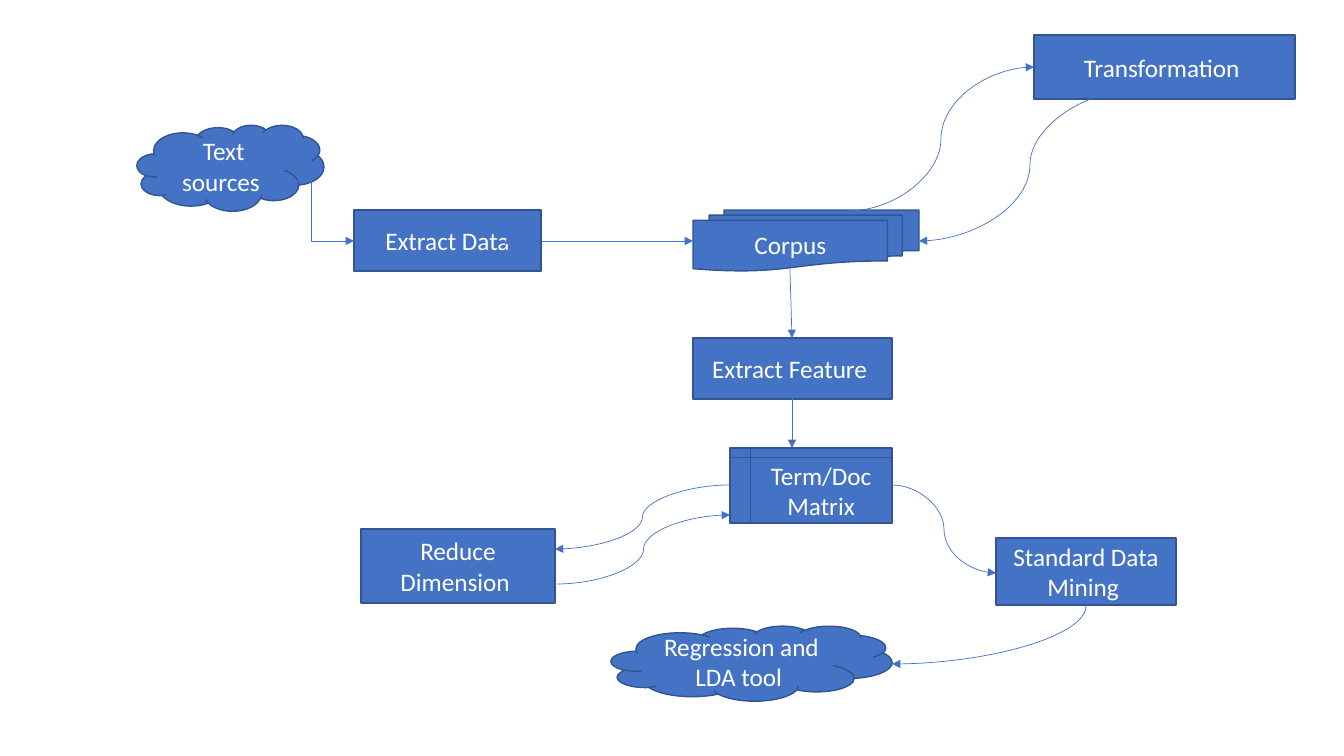
from lxml import etree
from pptx import Presentation
from pptx.dml.color import RGBColor
from pptx.enum.shapes import MSO_CONNECTOR, MSO_SHAPE
from pptx.enum.text import MSO_ANCHOR, PP_ALIGN
from pptx.oxml.ns import qn
from pptx.util import Emu, Pt

RECTANGLE = MSO_SHAPE.RECTANGLE
CLOUD = MSO_SHAPE.CLOUD
DOCUMENTS = MSO_SHAPE.FLOWCHART_MULTIDOCUMENT
STORAGE = MSO_SHAPE.FLOWCHART_INTERNAL_STORAGE
STRAIGHT = MSO_CONNECTOR.STRAIGHT
ELBOW = MSO_CONNECTOR.ELBOW
CURVE = MSO_CONNECTOR.CURVE

BLUE = RGBColor(0x44, 0x72, 0xC4)
DARK_BLUE = RGBColor(0x32, 0x54, 0x91)
WHITE = RGBColor(0xFF, 0xFF, 0xFF)

SLIDE_WIDTH, SLIDE_HEIGHT = 1344, 756
EMU_PER_PIXEL = 12192000 / SLIDE_WIDTH
BLANK_LAYOUT = 6
QUARTER_TURN = 90 * 60000

FRAME_FORMAT = {"word_wrap": True, "vertical_anchor": MSO_ANCHOR.MIDDLE}
FONT_FORMAT = {"name": "Calibri", "size": Pt(18)}

STEPS = [
    (RECTANGLE, "Extract Data", (354, 210, 187, 61)),
    (CLOUD, "Text sources ", (137, 125, 187, 86)),
    (RECTANGLE, "Extract Feature ", (693, 338, 199, 61)),
    (DOCUMENTS, "Corpus", (693, 210, 226, 61)),
    (STORAGE, "Term/Doc Matrix", (730, 448, 162, 75)),
    (RECTANGLE, "Reduce Dimension ", (361, 529, 194, 74)),
    (RECTANGLE, "Standard Data Mining ", (996, 538, 180, 67)),
    (CLOUD, "Regression and LDA tool ", (611, 626, 281, 75)),
    (RECTANGLE, "Transformation ", (1034, 35, 261, 64)),
]

ARROWS = [
    (ELBOW, (269, 181), (354, 241)),
    (ELBOW, (507, 241), (514, 243)),
    (CURVE, (848, 211), (1034, 67)),
    (CURVE, (1141, 89), (919, 241)),
    (STRAIGHT, (790, 269), (792, 338)),
    (STRAIGHT, (792, 378), (792, 448)),
    (CURVE, (892, 485), (996, 573)),
    (STRAIGHT, (541, 241), (693, 241)),
    (CURVE, (730, 485), (555, 549)),
    (CURVE, (557, 584), (730, 515)),
]

MINING_BOTTOM = (1086, 606)
TOOL_RIGHT = (892, 664)


def pixels(*lengths):
    return [Emu(round(length * EMU_PER_PIXEL)) for length in lengths]


def set_attributes(target, values):
    for name, value in values.items():
        setattr(target, name, value)


def set_line(line, color, width):
    line.color.rgb = color
    line.width = Pt(width)


def add_step(slide, kind, text, box):
    shape = slide.shapes.add_shape(kind, *pixels(*box))
    shape.shadow.inherit = False
    shape.fill.solid()
    shape.fill.fore_color.rgb = BLUE
    set_line(shape.line, DARK_BLUE, 1)
    set_attributes(shape.text_frame, FRAME_FORMAT)
    paragraph = shape.text_frame.paragraphs[0]
    paragraph.alignment = PP_ALIGN.CENTER
    run = paragraph.add_run()
    run.text = text
    set_attributes(run.font, FONT_FORMAT)
    run.font.color.rgb = WHITE


def add_arrow(slide, kind, start, end):
    connector = slide.shapes.add_connector(kind, *pixels(*start, *end))
    set_line(connector.line, BLUE, 0.5)
    properties = connector.element.spPr
    outline = properties.find(qn("a:ln"))
    etree.SubElement(outline, qn("a:tailEnd"), type="triangle")
    etree.SubElement(properties, qn("a:effectLst"))
    return connector


def add_quarter_arrow(slide, start, end):
    center_x = (start[0] + end[0]) // 2
    center_y = (start[1] + end[1]) // 2
    half_width = (end[1] - start[1]) // 2
    half_height = (start[0] - end[0]) // 2
    connector = add_arrow(
        slide,
        CURVE,
        (center_x - half_width, center_y - half_height),
        (center_x + half_width, center_y + half_height),
    )
    properties = connector.element.spPr
    properties.find(qn("a:xfrm")).set("rot", str(QUARTER_TURN))
    properties.find(qn("a:prstGeom")).set("prst", "curvedConnector2")


def main():
    presentation = Presentation()
    width, height = pixels(SLIDE_WIDTH, SLIDE_HEIGHT)
    set_attributes(presentation, {"slide_width": width, "slide_height": height})
    slide = presentation.slides.add_slide(presentation.slide_layouts[BLANK_LAYOUT])
    for step in STEPS:
        add_step(slide, *step)
    for arrow in ARROWS:
        add_arrow(slide, *arrow)
    add_quarter_arrow(slide, MINING_BOTTOM, TOOL_RIGHT)
    presentation.save("out.pptx")


main()
